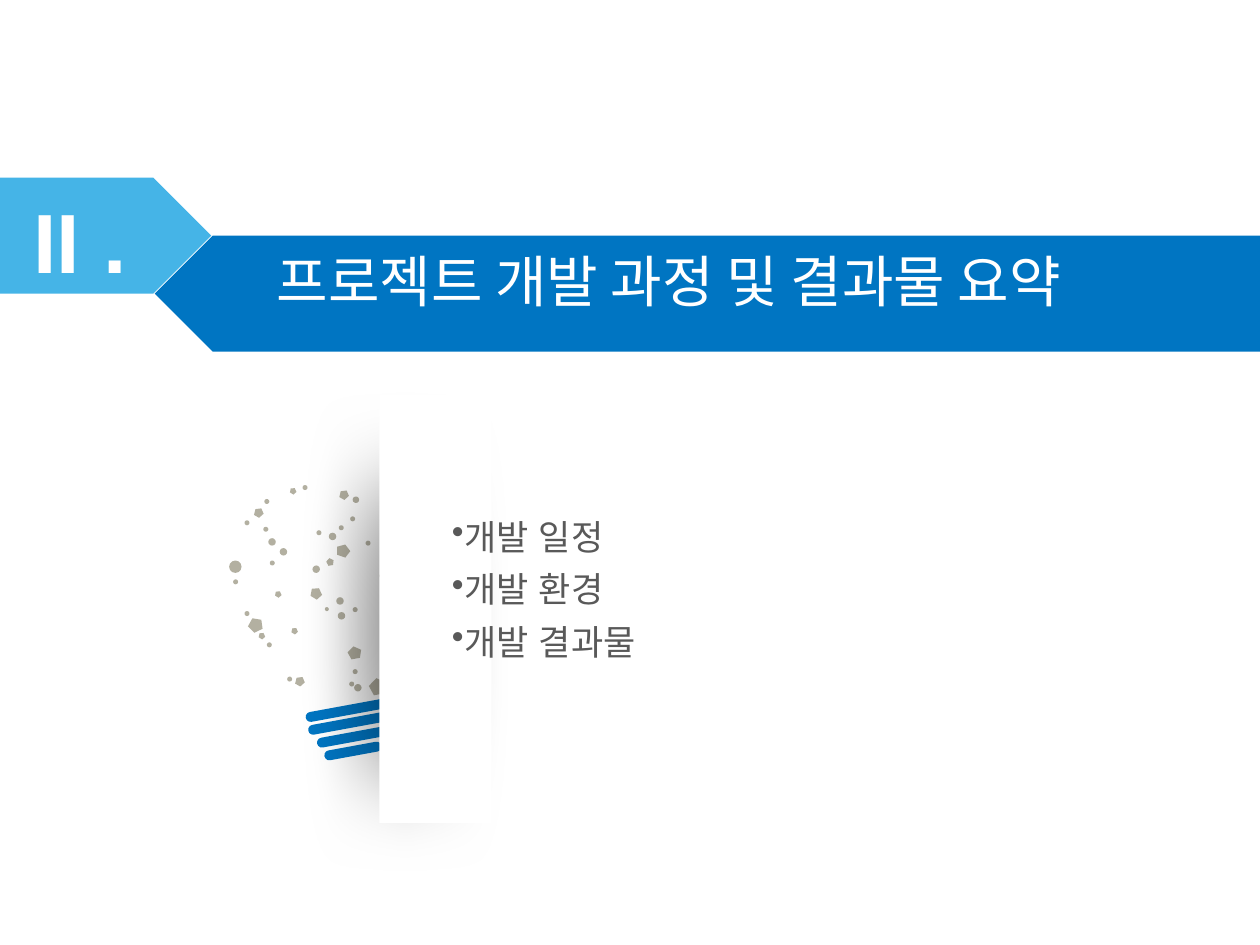
from lxml.etree import SubElement
from pptx import Presentation
from pptx.dml.color import RGBColor
from pptx.enum.shapes import MSO_SHAPE
from pptx.enum.text import MSO_ANCHOR
from pptx.oxml.ns import qn
from pptx.util import Cm, Pt

WHITE = RGBColor(0xFF, 0xFF, 0xFF)
SKY = RGBColor(0x45, 0xB4, 0xE7)
BLUE = RGBColor(0x00, 0x75, 0xC2)
PALE_BLUE = RGBColor(0x8E, 0xB4, 0xE3)
STONE = RGBColor(0xB3, 0xB0, 0xA1)
GREY = RGBColor(0x59, 0x59, 0x59)

LATIN = "Arial"
KOREAN = "Noto Sans CJK KR"
TILT = 349.6
TURN = 318.2

# Bulb base: left, top, width
BASE_BARS = [(6.53, 15.04, 1.17), (6.38, 14.76, 1.42),
             (6.2, 14.48, 1.65), (6.15, 14.22, 1.68)]

# Bulb dots: diameter -> left, top
DOTS = {
    0.08: [(6.55, 12.24)],
    0.1: [(5.44, 11.3), (4.7, 11.68), (6.38, 10.69), (7.04, 13.74),
          (7.11, 13.49), (5.31, 10.62), (6.1, 9.78), (5.33, 10.06),
          (4.93, 10.49), (4.93, 12.32), (5.38, 12.95), (5.79, 13.64),
          (7.06, 10.41), (7.65, 11.56), (6.83, 10.59), (7.11, 12.24),
          (7.37, 10.9)],
    0.13: [(7.11, 10.01)],
    0.15: [(6.81, 12.34), (5.64, 11.05), (5.41, 10.85), (6.63, 10.74),
           (7.14, 13.79), (6.78, 12.04), (6.3, 11.4)],
    0.25: [(4.62, 11.3)],
}

# Bulb pentagons: left, top, width, height, rotation
PENTAGONS = [
    (7.44, 13.67, 0.36, 0.33, TILT), (5, 12.45, 0.3, 0.28, 334),
    (6.58, 11.25, 0.15, 0.15, TILT), (7.01, 13.03, 0.28, 0.25, TILT),
    (5.94, 13.64, 0.2, 0.18, TURN), (5.11, 10.24, 0.2, 0.18, TURN),
    (5.84, 9.83, 0.13, 0.13, TURN), (6.83, 9.88, 0.2, 0.18, TURN),
    (6.78, 10.97, 0.28, 0.25, 18.8), (5.21, 12.75, 0.13, 0.13, TURN),
    (6.25, 11.84, 0.23, 0.23, TURN), (5.54, 11.91, 0.13, 0.13, TURN),
    (5.87, 12.65, 0.13, 0.13, TURN),
]


class SlideBuilder:
    def __init__(self, slide):
        self.slide = slide

    def shape(self, kind, left, top, width, height, color, rotation=0):
        shape = self.slide.shapes.add_shape(
            kind, Cm(left), Cm(top), Cm(width), Cm(height))
        shape.shadow.inherit = False
        shape.fill.solid()
        shape.fill.fore_color.rgb = color
        shape.line.fill.background()
        shape.rotation = rotation
        return shape

    def soft_shadow(self, shape, blur, distance, degrees):
        effects = shape._element.spPr.find(qn("a:effectLst"))
        shadow = SubElement(
            effects, qn("a:outerShdw"), blurRad=str(Pt(blur)),
            dist=str(Pt(distance)), dir=str(degrees * 60000),
            algn="ctr", rotWithShape="0")
        SubElement(shadow, qn("a:srgbClr"), val="000000")

    def text(self, lines, left, top, width, height, font, size, color,
             bold=False, bullets=False, anchor=MSO_ANCHOR.MIDDLE):
        frame = self.slide.shapes.add_textbox(
            Cm(left), Cm(top), Cm(width), Cm(height)).text_frame
        frame.word_wrap = True
        frame.vertical_anchor = anchor
        frame.text = "\n".join(lines)
        for paragraph in frame.paragraphs:
            if bullets:
                paragraph.space_after = Pt(6)
                properties = paragraph._p.get_or_add_pPr()
                properties.set("marL", "0")
                properties.set("indent", str(Cm(0.5)))
                SubElement(properties, qn("a:buChar"), char="•")
            paragraph.font.name = font
            paragraph.font.size = Pt(size)
            paragraph.font.color.rgb = color
            paragraph.font.bold = bold
            for run in paragraph.runs:
                SubElement(run._r.get_or_add_rPr(), qn("a:ea"), typeface=font)


def main():
    deck = Presentation()
    deck.slide_width, deck.slide_height = Cm(25.4), Cm(19.05)
    builder = SlideBuilder(deck.slides.add_slide(deck.slide_layouts[6]))

    # Section banner
    builder.shape(MSO_SHAPE.PENTAGON, -0.03, 3.58, 4.29, 2.34, SKY)
    title_band = builder.shape(MSO_SHAPE.PENTAGON, 3.12, 4.75, 22.28, 2.34, BLUE)
    title_band._element.spPr.find(qn("a:xfrm")).set("flipH", "1")
    builder.text(["II ."], 0.43, 3.69, 2.62, 2.31, LATIN, 48, WHITE, bold=True)
    builder.text(["프로젝트 개발 과정 및 결과물 요약"],
                 5.33, 4.83, 18.36, 1.63, KOREAN, 32, WHITE)

    # Light bulb
    for left, top, width in BASE_BARS:
        bar = builder.shape(MSO_SHAPE.ROUNDED_RECTANGLE,
                            left, top, width, 0.2, BLUE, TILT)
        bar.adjustments[0] = 0.5
    for diameter, places in DOTS.items():
        for left, top in places:
            builder.shape(MSO_SHAPE.OVAL, left, top, diameter, diameter, STONE)
    for left, top, width, height, rotation in PENTAGONS:
        builder.shape(MSO_SHAPE.REGULAR_PENTAGON,
                      left, top, width, height, STONE, rotation)

    # Page edge with its shadow
    edge = builder.shape(MSO_SHAPE.OVAL, 7.67, 9.37, 0.84, 6.58, PALE_BLUE)
    builder.soft_shadow(edge, blur=48, distance=3, degrees=44)
    builder.shape(MSO_SHAPE.RECTANGLE, 7.65, 7.95, 2.26, 8.64, WHITE)

    # Section contents
    builder.text(["개발 일정", "개발 환경", "개발 결과물"],
                 8.36, 10.26, 11.2, 3.25, LATIN, 20, GREY,
                 bullets=True, anchor=MSO_ANCHOR.TOP)

    deck.save("out.pptx")


if __name__ == "__main__":
    main()
